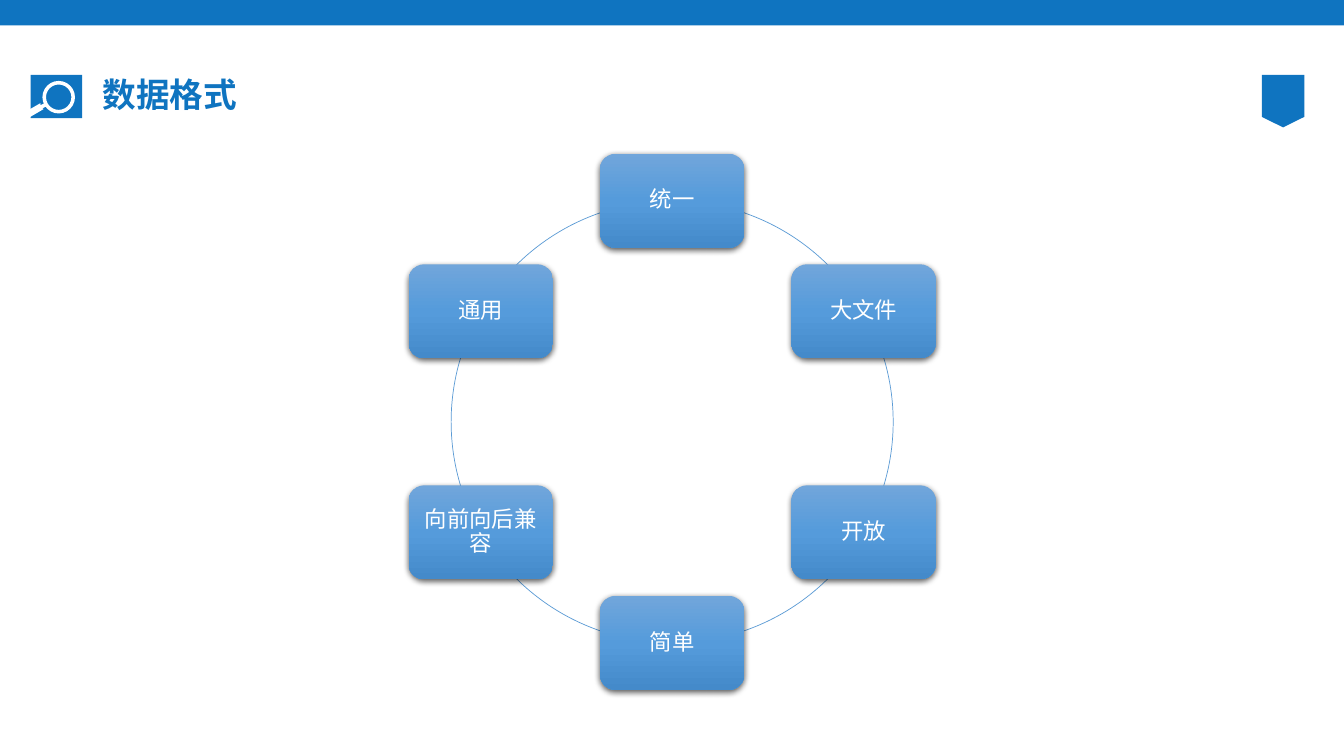
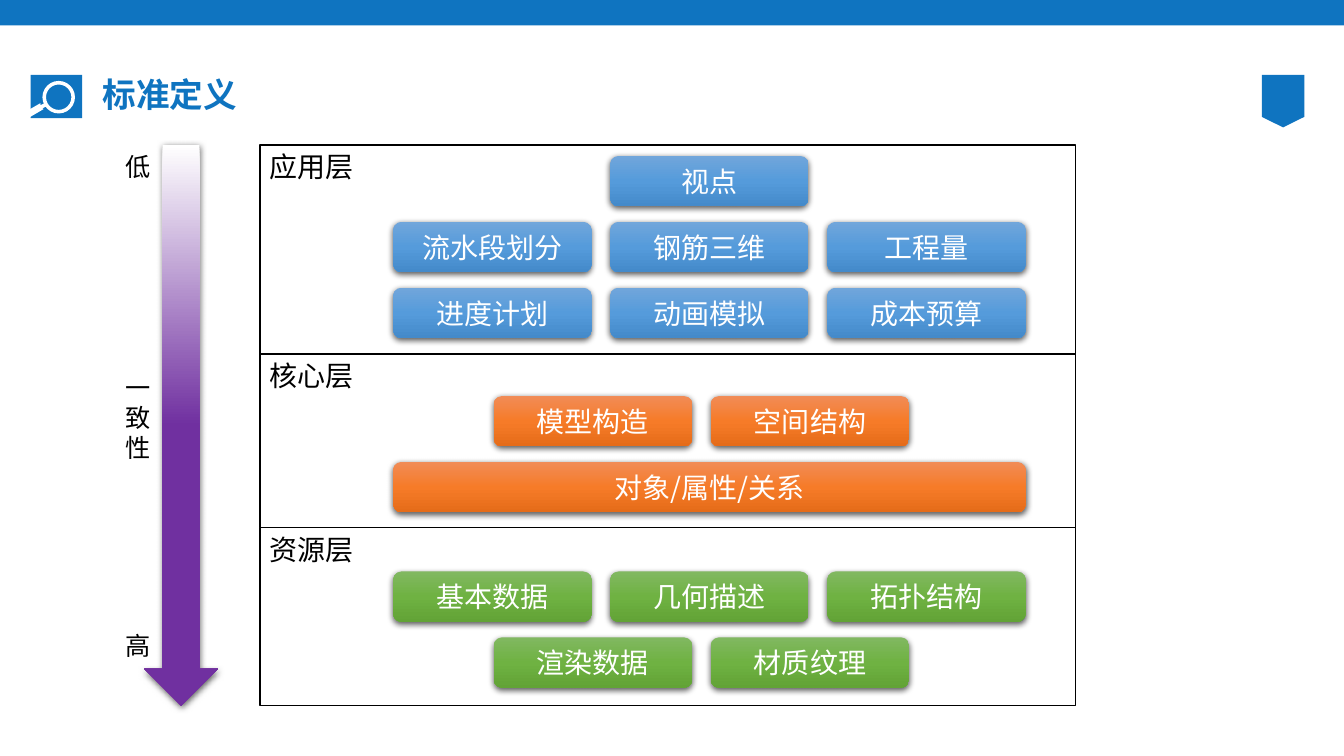
"""Build two slides on a data standard: its traits and its layers."""
import math

from lxml import etree
from pptx import Presentation
from pptx import util as u
from pptx.dml.color import RGBColor
from pptx.enum import shapes, text
from pptx.oxml.ns import qn

FONT = "Noto Sans CJK SC"
BRAND = RGBColor(0x0F, 0x74, 0xC0)
RING = RGBColor(0x5B, 0x9B, 0xD5)
WHITE = RGBColor(0xFF, 0xFF, 0xFF)
BLACK = RGBColor(0, 0, 0)
BLUES = [RGBColor.from_string(code) for code in ("71A6DB", "559BDB", "448ACA")]
ORANGES = [RGBColor.from_string(code) for code in ("F18C57", "F67B28", "E56C19")]
GREENS = [RGBColor.from_string(code) for code in ("81B861", "6FB242", "62A336")]
PURPLE = RGBColor(0x70, 0x30, 0xA0)
PURPLES = [WHITE, PURPLE, PURPLE]

PRESET = shapes.MSO_SHAPE
ALIGN = text.PP_ALIGN
ANCHOR = text.MSO_ANCHOR

SLIDE_WIDTH, SLIDE_HEIGHT = 33.87, 19.05
CHIP_WIDTH, CHIP_HEIGHT = 5, 1.27
CHIP_STEP, ROW_STEP = 5.47, 1.66
CHIP_CENTER, PAIR_SHIFT = 11.33, -0.2

TRAITS = ["统一", "大文件", "开放", "简单", "向前向后兼容", "通用"]
LAYERS = [
    ("应用层", 5.27, 0.28, BLUES, [
        (1, ["视点"]),
        (1, ["流水段划分", "钢筋三维", "工程量"]),
        (1, ["进度计划", "动画模拟", "成本预算"])]),
    ("核心层", 4.37, 1.06, ORANGES, [
        (1, ["模型构造", "空间结构"]),
        (3, ["对象/属性/关系"])]),
    ("资源层", 4.49, 1.11, GREENS, [
        (1, ["基本数据", "几何描述", "拓扑结构"]),
        (1, ["渲染数据", "材质纹理"])]),
]
SCALE_LABELS = [("低", 0.03), ("一\n致\n性", 5.6), ("高", 12.1)]


def write(frame, words, size, color, align=ALIGN.LEFT, bold=False, spacing=1.0, after=0):
    """Fill a text frame and format every paragraph alike."""
    frame.text = words
    for para in frame.paragraphs:
        para.alignment = align
        para.line_spacing = spacing
        para.space_after = u.Pt(after)
        for span in para.runs:
            span.font.size = u.Pt(size)
            span.font.bold = bold
            span.font.color.rgb = color
            span.font.name = FONT
            etree.SubElement(span.font._element, qn("a:ea"), typeface=FONT)


def add_plain(page, preset, left, top, width, height, fill=None, line=None, weight=1):
    """Add a flat preset shape; lengths are centimetres."""
    shape = page.shapes.add_shape(
        preset, u.Cm(left), u.Cm(top), u.Cm(width), u.Cm(height))
    shape.shadow.inherit = False
    if fill is None:
        shape.fill.background()
    else:
        shape.fill.solid()
        shape.fill.fore_color.rgb = fill
    if line is None:
        shape.line.fill.background()
    else:
        shape.line.color.rgb = line
        shape.line.width = u.Pt(weight)
    return shape


def add_glossy(page, preset, left, top, width, height, colors):
    """Add a shape with a vertical three-stop gradient and a soft shadow."""
    shape = add_plain(page, preset, left, top, width, height)
    properties = shape._element.spPr
    gradient = etree.Element(qn("a:gradFill"), rotWithShape="1")
    stops = etree.SubElement(gradient, qn("a:gsLst"))
    for position, color in zip((0, 50000, 100000), colors):
        stop = etree.SubElement(stops, qn("a:gs"), pos=str(position))
        etree.SubElement(stop, qn("a:srgbClr"), val=str(color))
    etree.SubElement(gradient, qn("a:lin"), ang="5400000", scaled="0")
    properties.replace(properties.find(qn("a:noFill")), gradient)
    shadow = etree.SubElement(
        properties.find(qn("a:effectLst")), qn("a:outerShdw"),
        blurRad=str(u.Pt(4.5)), dist=str(u.Pt(1.5)), dir="5400000",
        algn="ctr", rotWithShape="0")
    tint = etree.SubElement(shadow, qn("a:srgbClr"), val=str(BLACK))
    etree.SubElement(tint, qn("a:alpha"), val="63000")
    return shape


def add_textbox(page, left, top, width, height):
    """Add an empty text box and return its frame."""
    box = page.shapes.add_textbox(u.Cm(left), u.Cm(top), u.Cm(width), u.Cm(height))
    return box.text_frame


def draw_magnifier(page, left, top, width, height):
    """Draw the white magnifier on its brand-coloured tile."""
    add_plain(page, PRESET.RECTANGLE, left, top, width, height, BRAND)
    outline = [(left + x, top + y) for x, y in (
        (-0.15, 0.94), (0.25, 0.71), (0.25, 0.76), (0.36, 0.71), (0.41, 0.79),
        (0.3, 0.84), (0.33, 0.86), (-0.03, 1.07), (-0.13, 1.06))]
    points = [(u.Cm(x), u.Cm(y)) for x, y in outline]
    builder = page.shapes.build_freeform(*points[0])
    builder.add_line_segments(points[1:], close=True)
    handle = builder.convert_to_shape()
    handle.shadow.inherit = False
    handle.fill.solid()
    handle.fill.fore_color.rgb = WHITE
    handle.line.fill.background()
    lens = add_plain(page, PRESET.DONUT, left + 0.3, top + 0.15, 0.82, 0.82, WHITE)
    lens.adjustments[0] = 0.11


def add_page(deck, title):
    """Add a slide with the shared band, icon, bookmark and title."""
    page = deck.slides.add_slide(deck.slide_layouts[6])
    add_plain(page, PRESET.RECTANGLE, 0, 0, SLIDE_WIDTH, 0.64, BRAND)
    draw_magnifier(page, 0.77, 1.89, 1.3, 1.09)
    add_plain(page, PRESET.FLOWCHART_OFFPAGE_CONNECTOR, 31.8, 1.89, 1.07, 1.32, BRAND)
    frame = add_textbox(page, 2.34, 1.89, 29.21, 1.09)
    frame.word_wrap = True
    frame.vertical_anchor = ANCHOR.MIDDLE
    write(frame, title, 24, BRAND, bold=True, spacing=0.9)
    return page


def draw_cycle(page, left, top, diameter, names):
    """Spread named nodes evenly clockwise around a thin ring."""
    add_plain(page, PRESET.OVAL, left, top, diameter, diameter, line=RING, weight=0.5)
    radius = diameter / 2
    width, height = 3.64, 2.37
    for index, name in enumerate(names):
        angle = math.tau * index / len(names)
        node = add_glossy(
            page, PRESET.ROUNDED_RECTANGLE,
            left + radius + radius * math.sin(angle) - width / 2,
            top + radius - radius * math.cos(angle) - height / 2,
            width, height, BLUES)
        frame = node.text_frame
        frame.margin_left = frame.margin_right = u.Cm(0.18)
        frame.margin_top = frame.margin_bottom = u.Cm(0.18)
        write(frame, name, 16, WHITE, ALIGN.CENTER, spacing=0.9, after=5.6)


def draw_layer(page, left, top, width, layer):
    """Draw one bordered layer with its rows of chips and return its height."""
    name, height, first_row, colors, rows = layer
    panel = add_plain(page, PRESET.RECTANGLE, left, top, width, height, WHITE, BLACK)
    panel.text_frame.vertical_anchor = ANCHOR.TOP
    write(panel.text_frame, name, 20, BLACK)
    for row, (span, labels) in enumerate(rows):
        chip_width = CHIP_WIDTH + (span - 1) * CHIP_STEP
        row_width = chip_width + (len(labels) - 1) * CHIP_STEP
        start = left + CHIP_CENTER - row_width / 2
        if len(labels) == 2:
            start += PAIR_SHIFT
        for column, label in enumerate(labels):
            chip = add_glossy(
                page, PRESET.ROUNDED_RECTANGLE, start + column * CHIP_STEP,
                top + first_row + row * ROW_STEP, chip_width, CHIP_HEIGHT, colors)
            write(chip.text_frame, label, 20, WHITE, ALIGN.CENTER)
    return height


def draw_scale(page, left, top, height):
    """Draw the consistency arrow with its labels on the left."""
    add_glossy(page, PRESET.DOWN_ARROW, left + 0.72, top, 1.85, height, PURPLES)
    for label, offset in SCALE_LABELS:
        lines = label.count("\n") + 1
        frame = add_textbox(page, left, top + offset, 1.14, 0.25 + 0.77 * lines)
        frame.word_wrap = False
        frame.auto_size = text.MSO_AUTO_SIZE.SHAPE_TO_FIT_TEXT
        write(frame, label, 18, BLACK)


def main():
    """Build and save the deck."""
    deck = Presentation()
    deck.slide_width, deck.slide_height = u.Cm(SLIDE_WIDTH), u.Cm(SLIDE_HEIGHT)
    draw_cycle(add_page(deck, "数据格式"), 11.37, 5.06, 11.14, TRAITS)

    page = add_page(deck, "标准定义")
    layers_top = top = 3.65
    for layer in LAYERS:
        top += draw_layer(page, 6.55, top, 20.55, layer)
    draw_scale(page, 2.92, layers_top, top - layers_top)
    deck.save("out.pptx")


main()
